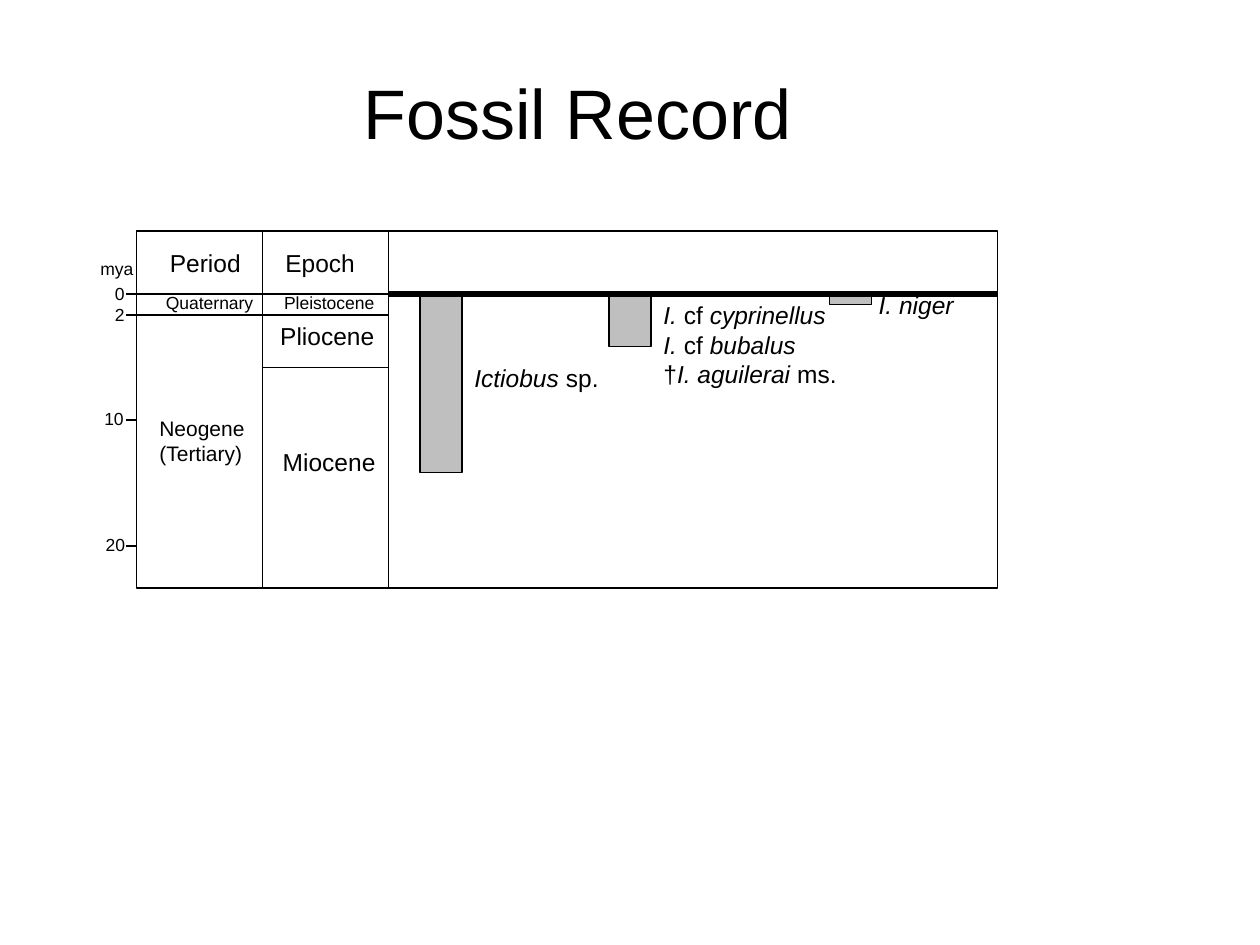
"""Build the Fossil Record slide: a geologic time scale with the ranges of Ictiobus."""
from lxml import etree
from pptx import Presentation
from pptx.dml.color import RGBColor
from pptx.enum.shapes import MSO_CONNECTOR, MSO_SHAPE
from pptx.enum.text import MSO_ANCHOR, MSO_AUTO_SIZE, PP_ALIGN
from pptx.oxml.ns import qn
from pptx.util import Pt

RECT = MSO_SHAPE.RECTANGLE
STRAIGHT = MSO_CONNECTOR.STRAIGHT
TOP = MSO_ANCHOR.TOP
FIT = MSO_AUTO_SIZE.SHAPE_TO_FIT_TEXT
CENTER = PP_ALIGN.CENTER
BLACK = RGBColor(0, 0, 0)
GRAY = RGBColor(128, 128, 128)
PX = 9525

prs = Presentation()
prs.slide_width, prs.slide_height = 960 * PX, 720 * PX
s = prs.slides.add_slide(prs.slide_layouts[5])


def add_rect(x, y, w, h):
    sp = s.shapes.add_shape(RECT, x * PX, y * PX, w * PX, h * PX)
    sp.shadow.inherit = False
    sp.fill.background()
    sp.line.color.rgb = BLACK
    sp.line.width = Pt(0.75)
    return sp


def add_line(x1, x2, y, width):
    cx = s.shapes.add_connector(STRAIGHT, x1 * PX, y * PX, x2 * PX, y * PX)
    cx.line.color.rgb = BLACK
    cx.line.width = Pt(width)
    etree.SubElement(cx._element.spPr, qn("a:effectLst"))


title = s.shapes.title
title.left, title.top, title.width, title.height = 120 * PX, 48 * PX, 640 * PX, 74 * PX
tf = title.text_frame
tf.text = "Fossil Record"
for name, value in {"word_wrap": True, "auto_size": FIT, "vertical_anchor": TOP}.items():
    setattr(tf, name, value)
p = tf.paragraphs[0]
p.alignment = CENTER
font = p.runs[0].font
for name, value in {"name": "Arial", "size": Pt(40)}.items():
    setattr(font, name, value)
font.color.rgb = BLACK

LEFT, MID, RIGHT, END = 104, 200, 296, 760
HEAD, NOW, PLIOCENE, MIOCENE, BASE = 176, 224, 240, 280, 448

for x, height in [(320, 136), (464, 40), (632, 8)]:
    sp = add_rect(x, NOW, 32, height)
    sp.fill.solid()
    sp.fill.fore_color.rgb = GRAY
    color = sp._element.spPr.find(qn("a:solidFill"))[0]
    etree.SubElement(color, qn("a:alpha"), val="50000")

columns = [
    (LEFT, MID, [HEAD, NOW, PLIOCENE, BASE]),
    (MID, RIGHT, [HEAD, NOW, PLIOCENE, MIOCENE, BASE]),
    (RIGHT, END, [HEAD, NOW, BASE]),
]
for left, right, edges in columns:
    for top, bottom in zip(edges, edges[1:]):
        add_rect(left, top, right - left, bottom - top)

for y in (NOW, PLIOCENE, 320, 416):
    add_line(LEFT, 96, y, 0.75)
add_line(RIGHT, END, NOW, 3)

labels = [
    (352, 272, 116, 33, 14, ["*Ictiobus *sp."]),
    (660, 216, 79, 33, 14, ["*I. niger*"]),
    (496, 224, 154, 77, 14,
     ["*I. *cf* cyprinellus*", "*I. *cf *bubalus*", "†*I. aguilerai* ms."]),
    (120, 184, 75, 33, 14, ["Period"]),
    (208, 184, 74, 33, 14, ["Epoch"]),
    (117, 218, 88, 26, 10, ["Quaternary"]),
    (207, 218, 90, 26, 10, ["Pleistocene"]),
    (204, 240, 93, 33, 14, ["Pliocene"]),
    (206, 336, 92, 33, 14, ["Miocene"]),
    (112, 312, 86, 48, 12, ["Neogene", "(Tertiary)"]),
    (78, 211, 28, 26, 10, ["0"]),
    (78, 227, 28, 26, 10, ["2"]),
    (70, 306, 36, 26, 10, ["10"]),
    (71, 402, 36, 26, 10, ["20"]),
    (67, 192, 46, 26, 10, ["mya"]),
]
for x, y, w, h, size, lines in labels:
    tf = s.shapes.add_textbox(x * PX, y * PX, w * PX, h * PX).text_frame
    tf.word_wrap = False
    tf.auto_size = FIT
    for i, line in enumerate(lines):
        p = tf.add_paragraph() if i else tf.paragraphs[0]
        for j, text in enumerate(line.split("*")):
            if not text:
                continue
            r = p.add_run()
            r.text = text
            for name, value in {"name": "Arial", "size": Pt(size), "italic": j % 2 == 1}.items():
                setattr(r.font, name, value)
            r.font.color.rgb = BLACK

prs.save("out.pptx")
